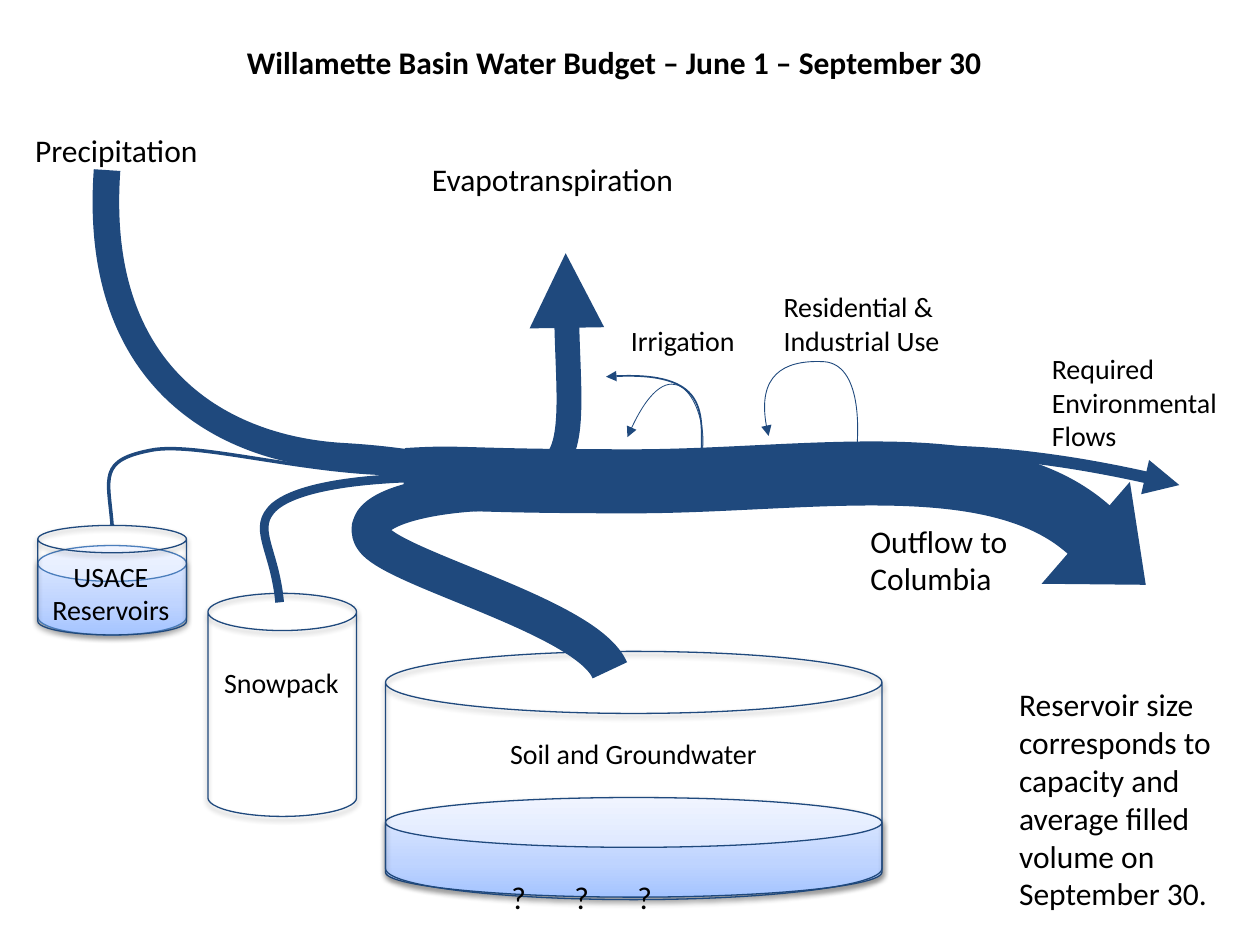
from copy import deepcopy

from lxml.etree import SubElement
from pptx import Presentation
from pptx.dml.color import RGBColor
from pptx.enum.shapes import MSO_SHAPE
from pptx.enum.text import MSO_ANCHOR, MSO_AUTO_SIZE, PP_ALIGN
from pptx.oxml.ns import qn
from pptx.util import Inches, Pt

NAVY = RGBColor(0x1F, 0x49, 0x7D)
BLUE = RGBColor(0x4B, 0x7E, 0xBC)
BLACK = RGBColor(0, 0, 0)
WATER = [(0, RGBColor(0xA4, 0xC4, 0xFF)), (0.35, RGBColor(0xBF, 0xD4, 0xFF)),
         (1, RGBColor(0xE6, 0xEE, 0xFF))]
FONT = "Calibri"

TITLE = "Willamette Basin Water Budget – June 1 – September 30"
TITLE_BOX = (1.86, 0.29, 6.09, 0.4)

# Reservoirs: box, rim depth, holds water, outline
USACE = [((0.3, 4.33, 1.18, 0.71), 0.4, True, BLUE),
         ((0.3, 4.17, 1.18, 0.87), 0.25, False, NAVY)]
SNOWPACK = [((1.65, 4.71, 1.18, 1.77), 0.25, False, NAVY)]
GROUNDWATER = [((3.06, 6.33, 3.94, 0.79), 0.5, True, NAVY),
               ((3.06, 5.17, 3.94, 1.97), 0.25, False, NAVY)]

# Flows: width in points, arrowhead, start point, then cubic curves of three points
FLOWS = [
    # Outflow to Columbia
    (36.6, False, [(3.23, 3.81), (3.68, 3.78), (3.65, 3.82), (4.95, 3.82),
                   (6.36, 3.83), (7.91, 3.51), (8.67, 4.23)]),
    # Evapotranspiration
    (14.2, True, [(3.21, 3.78), (3.48, 3.81), (3.31, 3.76), (4.19, 3.74),
                  (4.6, 3.77), (4.49, 2.91), (4.49, 2.01)]),
    # Required environmental flows
    (6.7, True, [(3.28, 3.68), (3.99, 3.82), (4.1, 3.66), (5.36, 3.67),
                 (6.63, 3.68), (7.4, 3.37), (9.36, 3.85)]),
    # Irrigation use
    (0.95, True, [(4.99, 3.87), (5.33, 3.9), (5.57, 3.88), (5.57, 3.58),
                  (5.57, 3.26), (5.61, 2.93), (4.81, 2.99)]),
    # Residential and industrial use, with return
    (0.5, True, [(6.79, 3.66), (6.83, 3.35), (6.82, 2.87), (6.52, 2.87),
                 (6.22, 2.86), (5.98, 2.99), (6.1, 3.46)]),
    # USACE reservoirs
    (2, False, [(3.62, 3.72), (2.82, 3.88), (1.67, 3.5), (1.22, 3.57),
                (0.77, 3.65), (0.86, 3.79), (0.89, 4.17)]),
    # Soil and groundwater
    (21.7, False, [(4, 3.9), (3.45, 3.9), (2.82, 4.03), (2.96, 4.27),
                   (3.1, 4.51), (4.66, 4.89), (4.84, 5.32)]),
    # Irrigation return
    (0.45, True, [(5, 3.79), (5.35, 3.82), (5.58, 3.81), (5.58, 3.5),
                  (5.58, 3.18), (5.31, 2.69), (4.98, 3.47)]),
    # Snowpack
    (5, False, [(3.35, 3.79), (2.87, 3.8), (2.37, 3.86), (2.18, 4.02),
                (1.99, 4.19), (2.18, 4.35), (2.22, 4.78)]),
    # Precipitation
    (15.2, False, [(0.85, 1.35), (0.73, 3.01), (1.78, 3.56), (2.7, 3.62),
                   (3.4, 3.66), (3.24, 3.73), (5.19, 3.83)]),
]
OUTFLOW_HEAD = ((8.32, 4.12, 1.07, 0.63), 130.9)

# Labels: text, box, format
LABELS = [
    ("Reservoir size corresponds to capacity and average filled volume on September 30.",
     (7.99, 5.39, 1.76, 1.92), dict(size=18)),
    ("Required Environmental Flows", (8.25, 2.74, 1.67, 0.91), {}),
    ("Evapotranspiration", (3.33, 1.22, 2.14, 0.4), dict(size=18, wrap=False)),
    ("Residential & Industrial Use", (6.12, 2.25, 1.72, 0.64), {}),
    ("Irrigation", (4.91, 2.52, 1.04, 0.37), dict(wrap=False)),
    ("Precipitation", (0.18, 0.99, 1.51, 0.4), dict(size=18, wrap=False)),
    ("Outflow to Columbia", (6.81, 4.09, 1.4, 0.71), dict(size=18)),
    ("?\t?\t?", (3.96, 6.92, 2.34, 0.4), dict(size=18, wrap=False)),
    ("Snowpack", (1.68, 5.23, 1.12, 0.37), dict(wrap=False)),
    ("USACE\nReservoirs", (-0.13, 4.39, 2.02, 0.64), dict(align=PP_ALIGN.CENTER)),
    ("Soil and Groundwater", (3.95, 5.8, 2.27, 0.37), {}),
]


def inches(box):
    return [Inches(length) for length in box]


def write(shape, text, size=16, bold=False, wrap=True, align=PP_ALIGN.LEFT):
    frame = shape.text_frame
    frame.text = text
    frame.word_wrap = wrap
    frame.auto_size = MSO_AUTO_SIZE.SHAPE_TO_FIT_TEXT
    frame.vertical_anchor = MSO_ANCHOR.TOP
    for paragraph in frame.paragraphs:
        paragraph.alignment = align
        for run in paragraph.runs:
            run.font.name, run.font.size, run.font.bold = FONT, Pt(size), bold
            run.font.color.rgb = BLACK


def fill_with_water(fill):
    fill.gradient()
    fill.gradient_angle = 90
    first = fill.gradient_stops[0]._gs
    first.addnext(deepcopy(first))
    for stop, (position, color) in zip(fill.gradient_stops, WATER):
        stop.position = position
        stop.color.rgb = color


def add_shadow(shape):
    shape.shadow.inherit = False
    effects = shape._element.spPr.find(qn("a:effectLst"))
    shadow = SubElement(effects, qn("a:outerShdw"), blurRad=str(Pt(3.1)),
                        dist=str(Pt(1.6)), dir="5400000", rotWithShape="0")
    color = SubElement(shadow, qn("a:srgbClr"), val="000000")
    SubElement(color, qn("a:alpha"), val="38000")


def add_reservoir(shapes, cans):
    for box, rim, holds_water, outline in cans:
        can = shapes.add_shape(MSO_SHAPE.CAN, *inches(box))
        can.adjustments[0] = rim
        if holds_water:
            fill_with_water(can.fill)
        else:
            can.fill.background()
        can.line.color.rgb = outline
        can.line.width = Pt(0.75)
        add_shadow(can)


def curve_point(controls, t):
    weights = ((1 - t) ** 3, 3 * t * (1 - t) ** 2, 3 * t * t * (1 - t), t ** 3)
    return tuple(Inches(sum(w * c[axis] for w, c in zip(weights, controls)))
                 for axis in (0, 1))


def add_flow(shapes, width, arrow, points):
    # Points on the curves give the outline its exact bounds
    starts = range(0, len(points) - 1, 3)
    samples = [curve_point(points[i:i + 4], step / 20)
               for i in starts for step in range(21)]
    builder = shapes.build_freeform(*samples[0])
    builder.add_line_segments(samples[1:], close=False)
    flow = builder.convert_to_shape()
    # Swap the straight segments for cubic curves
    outline = flow._element.xpath(".//a:path")[0]
    for segment in outline.findall(qn("a:lnTo")):
        outline.remove(segment)
    for i in starts:
        curve = SubElement(outline, qn("a:cubicBezTo"))
        for x, y in points[i + 1:i + 4]:
            SubElement(curve, qn("a:pt"), x=str(Inches(x) - flow.left),
                       y=str(Inches(y) - flow.top))
    flow.fill.background()
    flow.shadow.inherit = False
    flow.line.color.rgb = NAVY
    flow.line.width = Pt(width)
    if arrow:
        SubElement(flow.line._get_or_add_ln(), qn("a:tailEnd"), type="triangle")


def main():
    deck = Presentation()
    deck.slide_width, deck.slide_height = Inches(10), Inches(7.5)
    slide = deck.slides.add_slide(deck.slide_layouts[5])
    shapes = slide.shapes

    # Title
    title = shapes.title
    title.left, title.top, title.width, title.height = inches(TITLE_BOX)
    write(title, TITLE, size=18, bold=True, wrap=False)

    # Reservoirs
    add_reservoir(shapes, USACE)
    add_reservoir(shapes, SNOWPACK)
    add_reservoir(shapes.add_group_shape().shapes, GROUNDWATER)

    # Flows and the head of the main outflow
    for flow in FLOWS:
        add_flow(shapes, *flow)
    box, angle = OUTFLOW_HEAD
    head = shapes.add_shape(MSO_SHAPE.ISOSCELES_TRIANGLE, *inches(box))
    head.rotation = angle
    head.fill.solid()
    head.fill.fore_color.rgb = NAVY
    head.line.fill.background()
    head.shadow.inherit = False

    # Labels
    for text, box, style in LABELS:
        write(shapes.add_textbox(*inches(box)), text, **style)

    deck.save("out.pptx")


if __name__ == "__main__":
    main()
